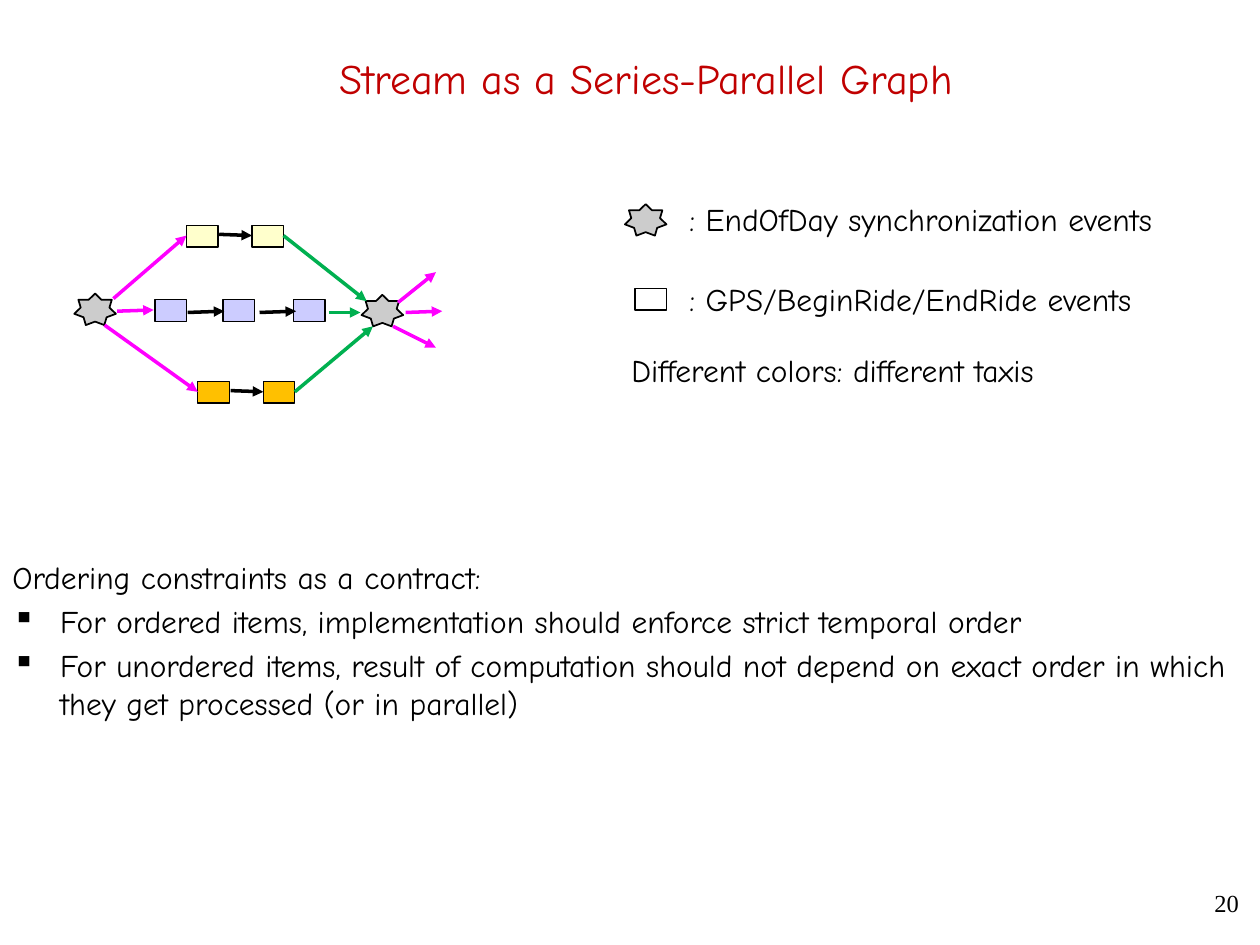
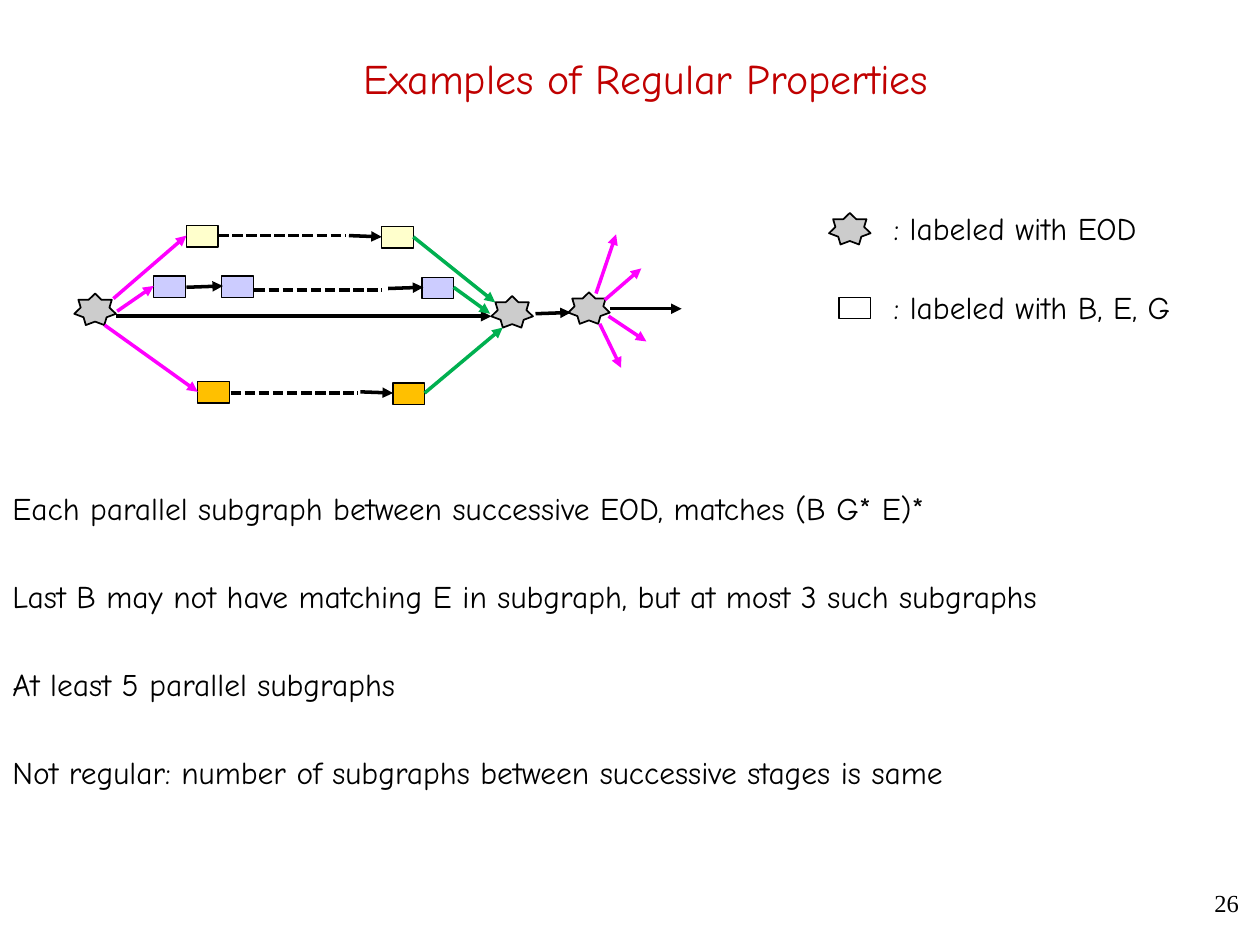
from pptx import Presentation
from pptx.dml.color import RGBColor
from pptx.enum.dml import MSO_LINE
from pptx.enum.shapes import MSO_CONNECTOR as Link, MSO_SHAPE as Shape
from pptx.enum.text import MSO_ANCHOR as Anchor, PP_ALIGN as Align
from pptx.oxml.ns import qn
from pptx.util import Inches, Pt
from lxml.etree import SubElement

BLACK, RED, GRAY = "000000", "C00000", "CCCCCC"
PINK, GREEN = "FF00FF", "00B050"
CREAM, BLUE, GOLD = "FFFFCC", "CCCCFF", "FFC000"


def paint(code):
    return RGBColor.from_string(code)


class Deck:
    font = "Comic Neue"
    size = 18

    def __init__(self):
        self.show = Presentation()
        self.show.slide_width = Inches(10)
        self.show.slide_height = Inches(7.5)

    def start(self, title, number):
        self.slide = self.show.slides.add_slide(self.show.slide_layouts[6])
        self.text(0.25, 0.33, 9.75, 0.58, [title], size=24, color=RED,
                  align=Align.CENTER, anchor=Anchor.MIDDLE)
        self.text(9.38, 7, 0.55, 0.5, [number], size=14,
                  font="Times New Roman", align=Align.RIGHT)

    def text(self, x, y, w, h, lines, size=size, font=font, color=BLACK,
             align=Align.LEFT, anchor=Anchor.TOP, wrap=True, gap=0, first=None):
        box = self.slide.shapes.add_textbox(*map(Inches, (x, y, w, h)))
        frame = box.text_frame
        frame.word_wrap = wrap
        frame.vertical_anchor = anchor
        for i, line in enumerate(lines):
            para = frame.add_paragraph() if i else frame.paragraphs[0]
            para.alignment = align
            if i:
                para.space_before = Pt(gap)
            if first is not None and i >= first:
                self.bullet(para)
            run = para.add_run()
            run.text = line
            run.font.name = font
            run.font.size = Pt(size)
            run.font.color.rgb = paint(color)

    def bullet(self, para):
        props = para._p.get_or_add_pPr()
        props.set("marL", str(Inches(0.38)))
        props.set("indent", str(Inches(-0.38)))
        SubElement(props, qn("a:buChar"), char="▪")

    def shape(self, kind, x, y, w, h, fill, width):
        item = self.slide.shapes.add_shape(kind, *map(Inches, (x, y, w, h)))
        item.shadow.inherit = False
        if fill:
            item.fill.solid()
            item.fill.fore_color.rgb = paint(fill)
        else:
            item.fill.background()
        item.line.color.rgb = paint(BLACK)
        item.line.width = Pt(width)

    def star(self, x, y):
        self.shape(Shape.STAR_7_POINT, x, y, 0.33, 0.25, GRAY, 1)

    def event(self, x, y, fill=None):
        self.shape(Shape.RECTANGLE, x, y, 0.25, 0.17, fill, 0.75)

    def line(self, color, ends, dash=False):
        link = self.slide.shapes.add_connector(Link.STRAIGHT, *map(Inches, ends))
        link.line.color.rgb = paint(color)
        link.line.width = Pt(2)
        if dash:
            link.line.dash_style = MSO_LINE.SQUARE_DOT
        else:
            SubElement(link.line._get_or_add_ln(), qn("a:tailEnd"), type="triangle")
        SubElement(link._element.spPr, qn("a:effectLst"))

    def graph(self, stars, taxis, arrows):
        for x, y in stars:
            self.star(x, y)
        for fill, spots in taxis:
            for x, y in spots:
                self.event(x, y, fill)
        for color, paths in arrows:
            for ends in paths:
                self.line(color, ends)

    def legend(self, x, y, *labels):
        self.star(x, y)
        self.event(x + 0.08, y + 0.67)
        for top, (label, width) in zip((y - 0.08, y + 0.55), labels):
            self.text(x + 0.33, top, width, 0.4, [label], wrap=False)


FORK = [(0.9, 2.37, 1.48, 1.87), (0.83, 2.58, 1.57, 3.11)]


def series(deck):
    deck.start("Stream as a Series-Parallel Graph", "20")
    deck.graph(
        [(0.59, 2.33), (2.87, 2.34)],
        [(CREAM, [(1.48, 1.79), (2, 1.79)]),
         (BLUE, [(1.23, 2.38), (1.77, 2.38), (2.33, 2.38)]),
         (GOLD, [(1.57, 3.03), (2.09, 3.03)])],
        [(PINK, FORK + [(0.93, 2.47, 1.22, 2.46), (3.16, 2.4, 3.46, 2.16),
                        (3.12, 2.59, 3.46, 2.76), (3.22, 2.48, 3.51, 2.47)]),
         (BLACK, [(1.74, 1.86, 2, 1.87), (1.49, 2.48, 1.78, 2.47),
                  (2.06, 2.48, 2.35, 2.47), (1.83, 3.1, 2.09, 3.11)]),
         (GREEN, [(2.61, 2.48, 2.86, 2.48), (2.25, 1.87, 2.91, 2.39),
                  (2.34, 3.11, 2.96, 2.59)])])
    deck.legend(4.96, 1.62, (" : EndOfDay synchronization events", 4.4),
                (" : GPS/BeginRide/EndRide events", 4.12))
    deck.text(4.83, 2.74, 4.16, 0.4, [" Different colors: different taxis"], wrap=False)
    deck.text(0, 4.38, 10, 1.72, [
        "Ordering constraints as a contract:",
        "For ordered items, implementation should enforce strict temporal order",
        "For unordered items, result of computation should not depend on exact "
        "order in which they get processed (or in parallel)"], gap=3.6, first=1)


def regular(deck):
    deck.start("Examples of Regular Properties", "26")
    deck.graph(
        [(0.59, 2.33), (3.9, 2.35), (4.51, 2.32)],
        [(CREAM, [(1.48, 1.79), (3.03, 1.8)]),
         (BLUE, [(1.22, 2.19), (1.76, 2.19), (3.35, 2.2)]),
         (GOLD, [(1.57, 3.03), (3.12, 3.04)])],
        [(PINK, FORK + [(0.93, 2.47, 1.22, 2.27), (4.73, 2.33, 4.89, 1.86),
                        (4.83, 2.51, 5.13, 2.71), (4.8, 2.38, 5.09, 2.13),
                        (4.76, 2.57, 4.93, 2.92)]),
         (BLACK, [(2.77, 1.87, 3.03, 1.88), (1.48, 2.28, 1.77, 2.27),
                  (3.08, 2.29, 3.36, 2.28), (2.86, 3.11, 3.12, 3.12),
                  (4.25, 2.49, 4.53, 2.48), (0.92, 2.51, 3.9, 2.51),
                  (4.84, 2.45, 5.41, 2.45)]),
         (GREEN, [(3.6, 2.28, 3.89, 2.49), (3.28, 1.88, 3.93, 2.4),
                  (3.37, 3.12, 3.99, 2.6)])])
    for x, y in [(1.73, 1.87), (2.02, 2.3), (1.83, 3.12)]:
        deck.line(BLACK, (x, y, x + 1.01, y), dash=True)
    deck.legend(6.58, 1.69, (" : labeled with EOD", 2.47),
                (" : labeled with B, E, G", 2.71))
    deck.text(0, 3.83, 10, 3.01, [
        "Each parallel subgraph between successive EOD, matches (B G* E)*",
        "Last B may not have matching E in subgraph, but at most 3 such subgraphs",
        "At least 5 parallel subgraphs",
        "Not regular: number of subgraphs between successive stages is same"], gap=28.8)


def main():
    deck = Deck()
    series(deck)
    regular(deck)
    deck.show.save("out.pptx")


if __name__ == "__main__":
    main()
